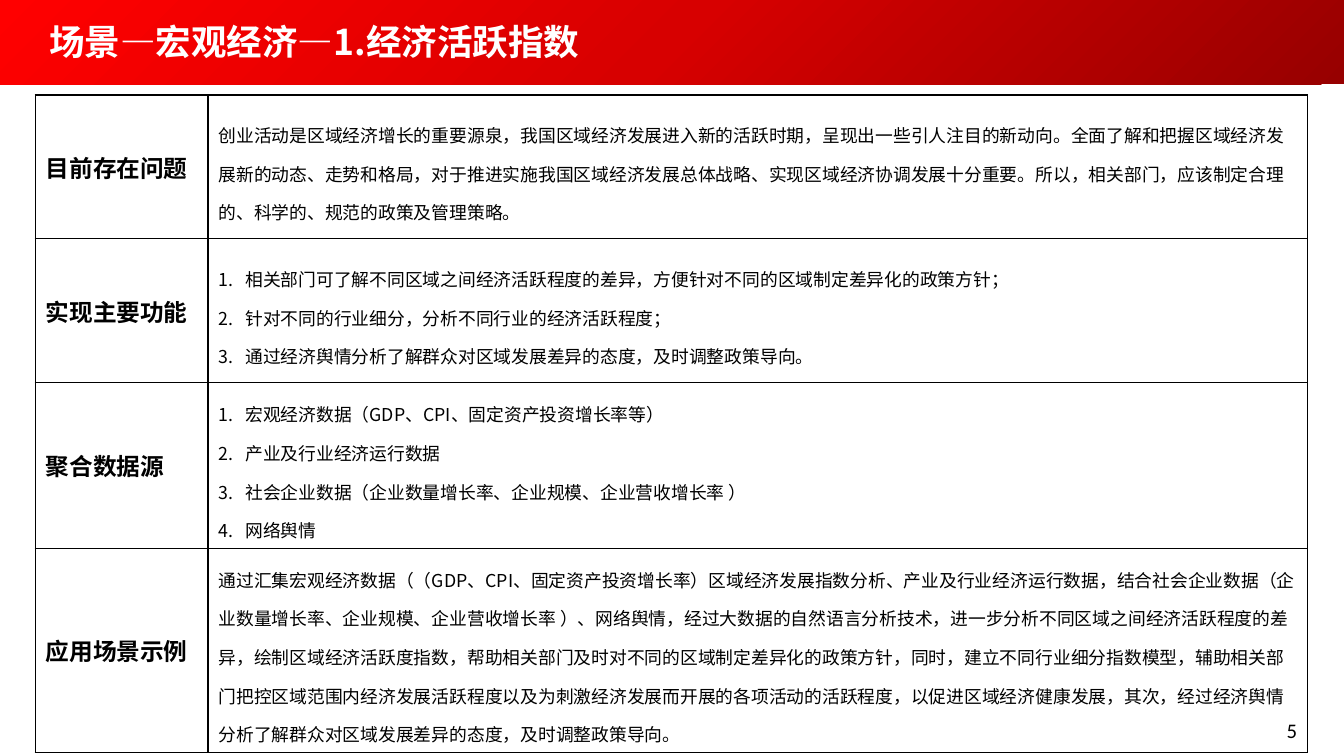
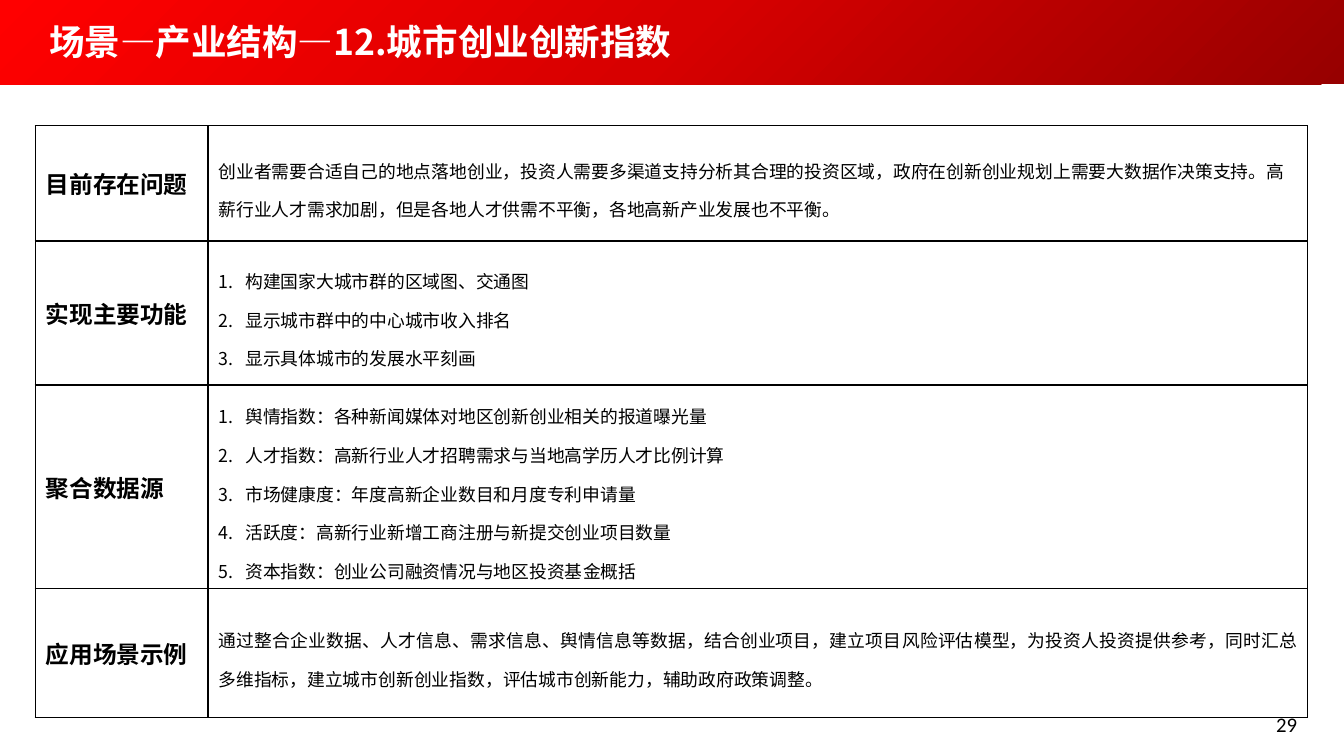
import pptx
import pptx.util
import pptx.dml.color
import pptx.enum.shapes
import pptx.enum.text
import pptx.oxml
import pptx.oxml.ns

LEFT = pptx.enum.text.PP_ALIGN.LEFT
RIGHT = pptx.enum.text.PP_ALIGN.RIGHT
JUST = pptx.enum.text.PP_ALIGN.JUSTIFY
MID = pptx.enum.text.MSO_ANCHOR.MIDDLE
TOP = pptx.enum.text.MSO_ANCHOR.TOP
RECT = pptx.enum.shapes.MSO_SHAPE.RECTANGLE

HEADS = ["目前存在问题", "实现主要功能", "聚合数据源", "应用场景示例"]
PAGES = [
    {
        "title": "场景—宏观经济—1.经济活跃指数",
        "num": "5", "foot": 6.68, "top": 0.89,
        "rows": [1.35, 1.35, 1.55, 1.91], "last": LEFT,
        "cells": [
            "创业活动是区域经济增长的重要源泉，我国区域经济发展进入新的活跃时期，呈现出一些引人注目的新动向。全面了解和把握区域经济发展新的动态、走势和格局，对于推进实施我国区域经济发展总体战略、实现区域经济协调发展十分重要。所以，相关部门，应该制定合理的、科学的、规范的政策及管理策略。",
            ["相关部门可了解不同区域之间经济活跃程度的差异，方便针对不同的区域制定差异化的政策方针；",
             "针对不同的行业细分，分析不同行业的经济活跃程度；",
             "通过经济舆情分析了解群众对区域发展差异的态度，及时调整政策导向。"],
            ["宏观经济数据（GDP、CPI、固定资产投资增长率等）",
             "产业及行业经济运行数据",
             "社会企业数据（企业数量增长率、企业规模、企业营收增长率 ）",
             "网络舆情"],
            "通过汇集宏观经济数据（（GDP、CPI、固定资产投资增长率）区域经济发展指数分析、产业及行业经济运行数据，结合社会企业数据（企业数量增长率、企业规模、企业营收增长率 ）、网络舆情，经过大数据的自然语言分析技术，进一步分析不同区域之间经济活跃程度的差异，绘制区域经济活跃度指数，帮助相关部门及时对不同的区域制定差异化的政策方针，同时，建立不同行业细分指数模型，辅助相关部门把控区域范围内经济发展活跃程度以及为刺激经济发展而开展的各项活动的活跃程度，以促进区域经济健康发展，其次，经过经济舆情分析了解群众对区域发展差异的态度，及时调整政策导向。",
        ],
    },
    {
        "title": "场景—产业结构—12.城市创业创新指数",
        "num": "29", "foot": 6.63, "top": 1.18,
        "rows": [1.08, 1.35, 1.91, 1.21], "last": JUST,
        "cells": [
            "创业者需要合适自己的地点落地创业，投资人需要多渠道支持分析其合理的投资区域，政府在创新创业规划上需要大数据作决策支持。高薪行业人才需求加剧，但是各地人才供需不平衡，各地高新产业发展也不平衡。",
            ["构建国家大城市群的区域图、交通图",
             "显示城市群中的中心城市收入排名",
             "显示具体城市的发展水平刻画"],
            ["舆情指数：各种新闻媒体对地区创新创业相关的报道曝光量",
             "人才指数：高新行业人才招聘需求与当地高学历人才比例计算",
             "市场健康度：年度高新企业数目和月度专利申请量",
             "活跃度：高新行业新增工商注册与新提交创业项目数量",
             "资本指数：创业公司融资情况与地区投资基金概括"],
            "通过整合企业数据、人才信息、需求信息、舆情信息等数据，结合创业项目，建立项目风险评估模型，为投资人投资提供参考，同时汇总多维指标，建立城市创新创业指数，评估城市创新能力，辅助政府政策调整。",
        ],
    },
]

WIDE, HIGH, BAND = 12.6, 7.09, 0.79
EDGE, COLS = 0.33, [1.62, 10.31]
SANS, BLACK, WHITE = "Noto Sans CJK SC", "000000", "FFFFFF"
FADE = [(0, "970000"), (50, "D70000"), (100, "FF0000")]
ANGLE = 225

inch = pptx.util.Inches


def hue(code):
    return pptx.dml.color.RGBColor.from_string(code)


def node(body):
    head, tail = body.split(" ", 1)
    return pptx.oxml.parse_xml(f"{head} {pptx.oxml.ns.nsdecls('a')} {tail}")


def write(frame, text, size=12, bold=False, color=BLACK, face=SANS,
          align=LEFT, space=None):
    listed = isinstance(text, list)
    for i, line in enumerate(text if listed else [text]):
        para = frame.add_paragraph() if i else frame.paragraphs[0]
        para.alignment = align
        if space:
            para.line_spacing = space
        if listed:
            prop = para._p.get_or_add_pPr()
            prop.set("marL", str(inch(0.25)))
            prop.set("indent", str(inch(-0.25)))
            prop.append(node('<a:buAutoNum type="arabicPeriod"/>'))
        run = para.add_run()
        run.text = line
        font = run.font
        font.size, font.bold, font.name = pptx.util.Pt(size), bold, face
        font.color.rgb = hue(color)
        font._element.append(node(f'<a:ea typeface="{face}"/>'))


def label(slide, text, box, anchor=TOP, pad=(0.1, 0.05), **form):
    frame = slide.shapes.add_textbox(*map(inch, box)).text_frame
    frame.word_wrap = True
    frame.vertical_anchor = anchor
    frame.margin_left = frame.margin_right = inch(pad[0])
    frame.margin_top = frame.margin_bottom = inch(pad[1])
    write(frame, text, **form)


def band(slide):
    bar = slide.shapes.add_shape(RECT, 0, 0, inch(WIDE), inch(BAND))
    bar.shadow.inherit = False
    bar.line.fill.background()
    stops = "".join(
        f'<a:gs pos="{pos * 1000}"><a:srgbClr val="{code}"/></a:gs>'
        for pos, code in FADE)
    fade = node(f'<a:gradFill rotWithShape="1"><a:gsLst>{stops}</a:gsLst>'
                f'<a:lin ang="{ANGLE * 60000}" scaled="0"/></a:gradFill>')
    bar.fill.solid()
    old = bar._element.spPr.find(pptx.oxml.ns.qn("a:solidFill"))
    bar._element.spPr.replace(old, fade)


def style(cell):
    prop = cell._tc.get_or_add_tcPr()
    for side in "LRTB":
        prop.append(node(
            f'<a:ln{side} w="12700"><a:solidFill><a:srgbClr val="{BLACK}"/>'
            f'</a:solidFill></a:ln{side}>'))
    cell.fill.background()
    cell.vertical_anchor = MID


def grid(slide, page):
    rows = page["rows"]
    table = slide.shapes.add_table(
        len(rows), len(COLS), inch(EDGE), inch(page["top"]),
        inch(sum(COLS)), inch(sum(rows))).table
    table.first_row = table.horz_banding = False
    for col, width in zip(table.columns, COLS):
        col.width = inch(width)
    for i, (head, text) in enumerate(zip(HEADS, page["cells"])):
        table.rows[i].height = inch(rows[i])
        name, body = table.cell(i, 0), table.cell(i, 1)
        style(name)
        style(body)
        write(name.text_frame, head, size=16, bold=True)
        align = page["last"] if i == len(rows) - 1 else LEFT
        write(body.text_frame, text, align=align, space=1.5)


def main():
    deck = pptx.Presentation()
    deck.slide_width, deck.slide_height = inch(WIDE), inch(HIGH)
    for page in PAGES:
        slide = deck.slides.add_slide(deck.slide_layouts[6])
        band(slide)
        grid(slide, page)
        label(slide, page["title"], (0.35, 0.07, 11.91, 0.64), anchor=MID,
              pad=(0.11, 0.06), size=24, bold=True, color=WHITE)
        label(slide, page["num"], (9.32, page["foot"], 2.94, 0.38),
              size=14, face="Calibri", align=RIGHT)
    deck.save("out.pptx")


if __name__ == "__main__":
    main()
